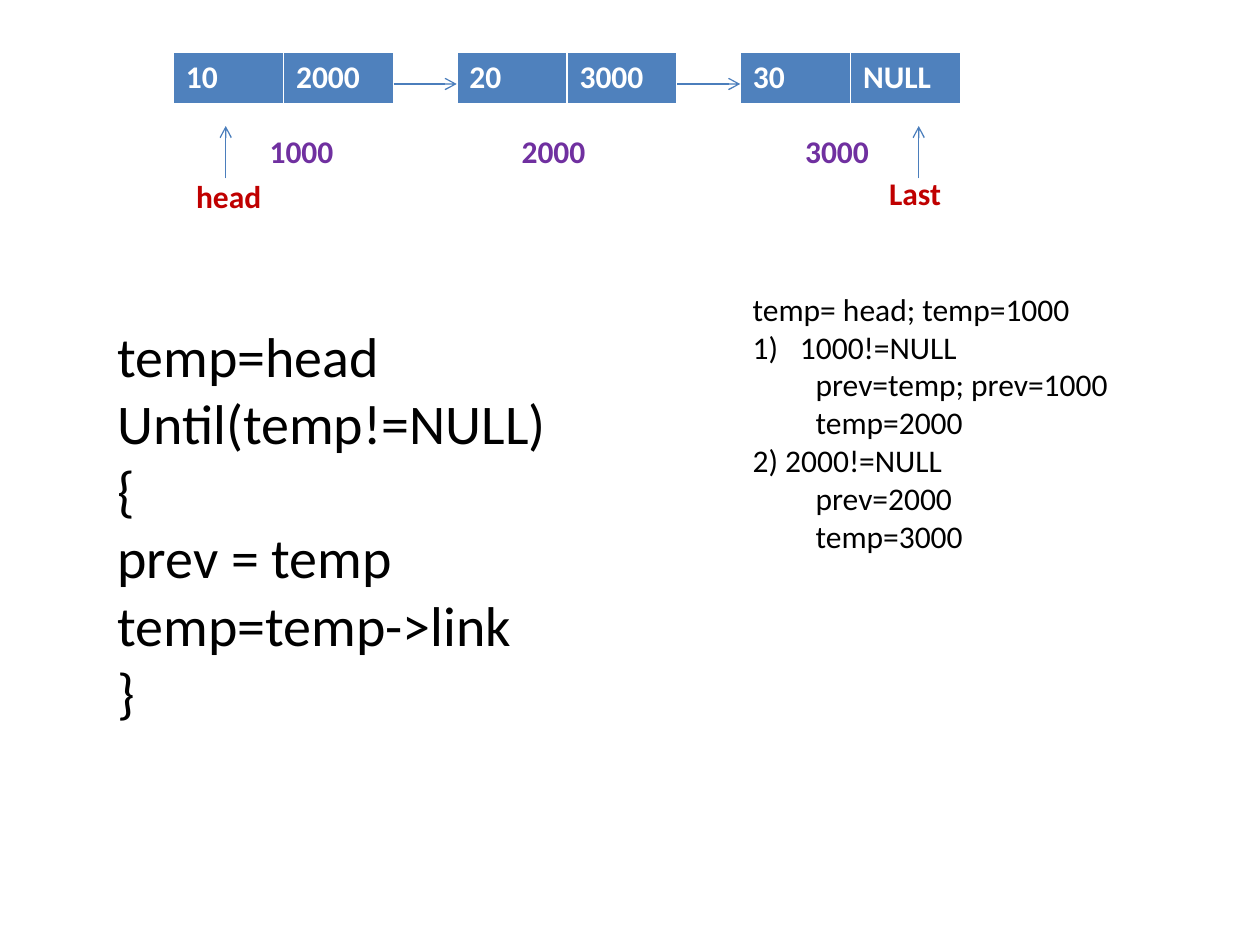
"""Build a slide that walks through a singly linked list."""
from lxml.etree import SubElement
from pptx import Presentation
from pptx.dml.color import RGBColor
from pptx.enum.shapes import MSO_CONNECTOR
from pptx.enum.text import MSO_AUTO_SIZE
from pptx.oxml.ns import qn
from pptx.util import Inches, Pt

WHITE = RGBColor(0xFF, 0xFF, 0xFF)
BLACK = RGBColor(0x00, 0x00, 0x00)
NODE_BLUE = RGBColor(0x4F, 0x81, 0xBD)
ARROW_BLUE = RGBColor(0x4B, 0x7E, 0xBC)
PURPLE = RGBColor(0x70, 0x30, 0xA0)
RED = RGBColor(0xC0, 0x00, 0x00)

deck = Presentation()
deck.slide_width, deck.slide_height = Inches(10), Inches(7.5)
slide = deck.slides.add_slide(deck.slide_layouts[6])
COL = deck.slide_width // 240
ROW = deck.slide_height // 180

NODE_LEFT, NODE_TOP, NODE_WIDTH, NODE_HEIGHT = 33, 10, 42, 9.8
NODE_PITCH = 54
LINK_ROW = 16
LABEL_SIZE = 22, 9.7


def grid_box(left, top, width, height):
    return int(left * COL), int(top * ROW), int(width * COL), int(height * ROW)


def write(frame, lines, color, **font_format):
    frame.text = "\n".join(lines)
    for paragraph in frame.paragraphs:
        for run in paragraph.runs:
            for attribute, value in {"name": "Calibri", **font_format}.items():
                setattr(run.font, attribute, value)
            run.font.color.rgb = color


nodes = [("10", "2000"), ("20", "3000"), ("30", "NULL")]
for index, fields in enumerate(nodes):
    left = NODE_LEFT + index * NODE_PITCH
    node = slide.shapes.add_table(
        1, 2, *grid_box(left, NODE_TOP, NODE_WIDTH, NODE_HEIGHT)).table
    for cell, field in zip(node.iter_cells(), fields):
        cell.fill.solid()
        cell.fill.fore_color.rgb = NODE_BLUE
        write(cell.text_frame, [field], WHITE, size=Pt(18), bold=True)

links = [(NODE_LEFT + NODE_WIDTH + i * NODE_PITCH, LINK_ROW,
          NODE_LEFT + (i + 1) * NODE_PITCH, LINK_ROW)
         for i in range(len(nodes) - 1)]
pointers = [(column, 34, column, 24) for column in (43, 175)]
for x1, y1, x2, y2 in links + pointers:
    arrow = slide.shapes.add_connector(
        MSO_CONNECTOR.STRAIGHT, x1 * COL, y1 * ROW, x2 * COL, y2 * ROW)
    arrow.line.color.rgb = ARROW_BLUE
    arrow.line.width = Pt(0.75)
    SubElement(arrow.line._get_or_add_ln(), qn("a:tailEnd"), type="arrow")
    SubElement(arrow._element.spPr, qn("a:effectLst"))

algorithm = ["temp=head", "Until(temp!=NULL)", "{", "prev = temp",
             "temp=temp->link", "}"]
trace = ["temp= head; temp=1000", "1000!=NULL", "\tprev=temp; prev=1000",
         "\ttemp=2000", "2) 2000!=NULL", "\tprev=2000", "\ttemp=3000"]
texts = [
    (["1000"], (49, 24, *LABEL_SIZE), PURPLE, 18, True),
    (["2000"], (97, 24, *LABEL_SIZE), PURPLE, 18, True),
    (["3000"], (151, 24, *LABEL_SIZE), PURPLE, 18, True),
    (["head"], (35, 32.5, *LABEL_SIZE), RED, 18, True),
    (["Last"], (167, 32, *LABEL_SIZE), RED, 18, True),
    (algorithm, (20, 60, 127, 80), BLACK, 32, False),
    (trace, (141, 54, 89, 53.3), BLACK, 18, False),
]
for lines, place, color, points, bold in texts:
    frame = slide.shapes.add_textbox(*grid_box(*place)).text_frame
    for attribute, value in {"word_wrap": True,
                             "auto_size": MSO_AUTO_SIZE.SHAPE_TO_FIT_TEXT}.items():
        setattr(frame, attribute, value)
    write(frame, lines, color, size=Pt(points), bold=bold)
    if lines is trace:
        step = frame.paragraphs[1]._p.get_or_add_pPr()
        for attribute, value in {"marL": 9 * COL, "indent": -9 * COL}.items():
            step.set(attribute, str(value))
        SubElement(step, qn("a:buFont"), typeface="+mj-lt")
        SubElement(step, qn("a:buAutoNum"), type="arabicParenR")

deck.save("out.pptx")
